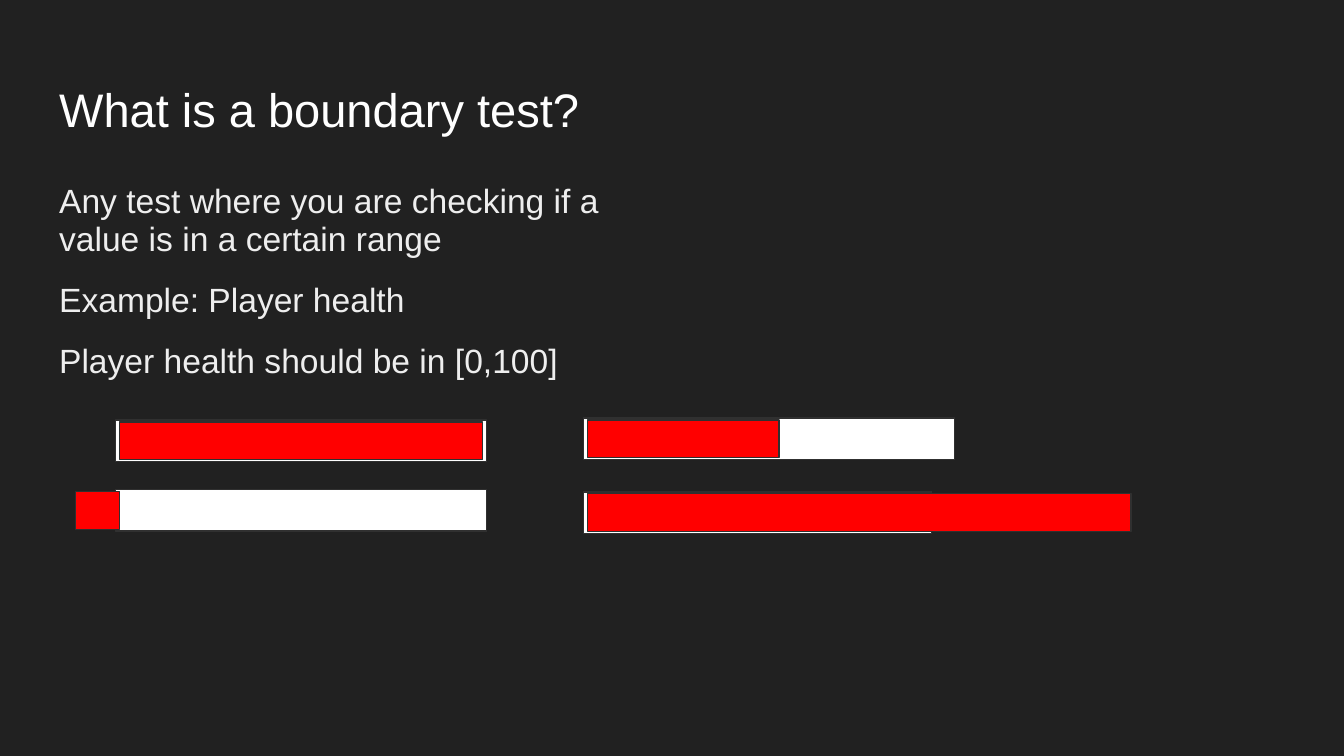
from pptx import Presentation
from pptx.dml.color import RGBColor
from pptx.enum.shapes import MSO_SHAPE
from pptx.enum.text import MSO_ANCHOR, MSO_AUTO_SIZE, PP_ALIGN
from pptx.oxml.ns import qn
from pptx.util import Pt

DARK = RGBColor(0x21, 0x21, 0x21)
OUTLINE = RGBColor(0x30, 0x30, 0x30)
WHITE = RGBColor(0xFF, 0xFF, 0xFF)
LIGHT = RGBColor(0xEE, 0xEE, 0xEE)
RED = RGBColor(0xFF, 0, 0)


def place_text(sp, box, lines, size, color, anchor):
    """Fill a placeholder with unbulleted, left-aligned paragraphs."""
    sp.left, sp.top, sp.width, sp.height = map(Pt, box)
    tf = sp.text_frame
    tf.text = "\n".join(lines)
    tf.word_wrap = True
    tf.auto_size = MSO_AUTO_SIZE.NONE
    tf.vertical_anchor = anchor
    tf.margin_left = tf.margin_right = tf.margin_top = tf.margin_bottom = Pt(7.2)
    for p in tf.paragraphs:
        p.alignment = PP_ALIGN.LEFT
        p.space_before = p.space_after = Pt(0)
        pPr = p._p.get_or_add_pPr()
        pPr.set("marL", "0")
        pPr.set("indent", "0")
        pPr.append(pPr.makeelement(qn("a:buNone"), {}))
        font = p.runs[0].font
        font.name, font.size, font.color.rgb = "Arial", Pt(size), color


def add_title(s, box):
    place_text(s.shapes.title, box, ["What is a boundary test?"],
               25.2, WHITE, MSO_ANCHOR.MIDDLE)


def add_body(s, box):
    sp = s.placeholders[1]
    place_text(sp, box, [
        "Any test where you are checking if a value is in a certain range",
        "Example: Player health",
        "Player health should be in [0,100]",
    ], 18, LIGHT, MSO_ANCHOR.TOP)
    paragraphs = sp.text_frame.paragraphs
    for p in paragraphs:
        p.line_spacing = 0.95
    for p in paragraphs[1:]:
        p.space_before = Pt(12)
    paragraphs[-1].space_after = Pt(12)


def add_rect(s, box, color):
    sp = s.shapes.add_shape(MSO_SHAPE.RECTANGLE, *map(Pt, box))
    sp.shadow.inherit = False
    sp.fill.solid()
    sp.fill.fore_color.rgb = color
    sp.line.color.rgb = OUTLINE
    sp.line.width = Pt(0.75)


def add_health_bar(s, box, level):
    """Draw a white track and a red level; a negative level runs left."""
    x, y, w, h = box
    add_rect(s, box, WHITE)
    add_rect(s, (x + 2.2 + min(level, 0), y + 1, abs(level), h - 2), RED)


def main():
    prs = Presentation()
    prs.slide_width, prs.slide_height = Pt(720), Pt(405)
    s = prs.slides.add_slide(prs.slide_layouts[1])
    s.background.fill.solid()
    s.background.fill.fore_color.rgb = DARK

    add_title(s, (24.5, 35.3, 671, 45.4))
    add_body(s, (24.5, 90.7, 335.5, 122.4))

    # Health bars: full, half, overflowing, negative
    for x, y, w, level in [
        (62, 225, 198.7, 194.4),
        (312.7, 224, 198.7, 102.4),
        (312.7, 263.5, 186.5, 291),
        (62, 262.4, 198.7, -23.8),
    ]:
        add_health_bar(s, (x, y, w, 22.2), level)

    prs.save("out.pptx")


if __name__ == "__main__":
    main()
